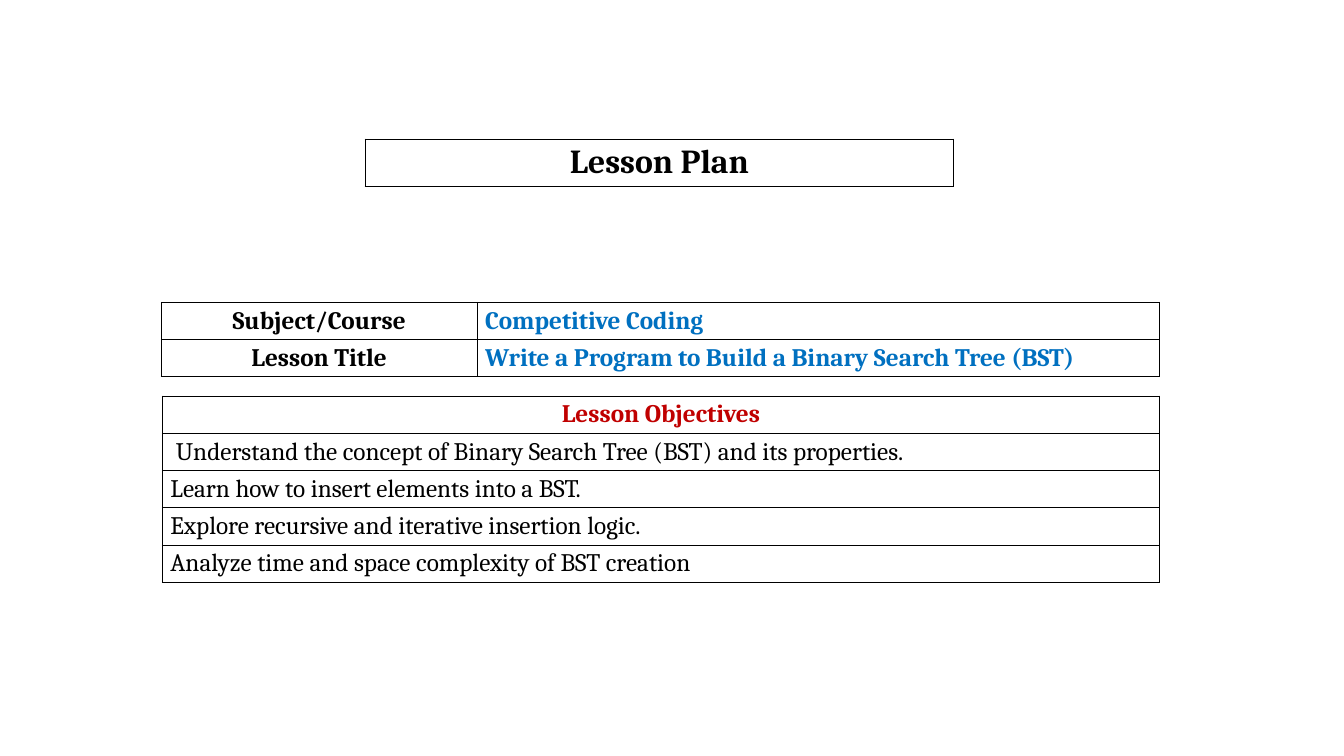
from lxml import etree
from pptx import Presentation
from pptx.dml.color import RGBColor
from pptx.enum.text import MSO_ANCHOR, PP_ALIGN
from pptx.oxml.ns import qn
from pptx.util import Inches, Pt

CENTER, LEFT = PP_ALIGN.CENTER, PP_ALIGN.LEFT
MIDDLE = MSO_ANCHOR.MIDDLE

BLACK = RGBColor(0x00, 0x00, 0x00)
WHITE = RGBColor(0xFF, 0xFF, 0xFF)
BLUE = RGBColor(0x00, 0x70, 0xC0)
RED = RGBColor(0xC0, 0x00, 0x00)

FONT = "Cambria"
BORDER_WIDTH = Pt(0.77)
SLIDE_WIDTH, SLIDE_HEIGHT = Inches(13.33), Inches(7.5)
TITLE_ROW, BODY_ROW = Inches(0.47), Inches(0.37)

COURSE = [
    ("Subject/Course", "Competitive Coding"),
    ("Lesson Title", "Write a Program to Build a Binary Search Tree (BST)"),
]
OBJECTIVES = [
    " Understand the concept of Binary Search Tree (BST) and its properties.",
    "Learn how to insert elements into a BST.",
    "Explore recursive and iterative insertion logic.",
    "Analyze time and space complexity of BST creation",
]


def add_borders(cell):
    """Draw a thin line on all four sides; lines precede the fill in tcPr."""
    properties = cell._tc.get_or_add_tcPr()
    for position, side in enumerate(("a:lnL", "a:lnR", "a:lnT", "a:lnB")):
        line = etree.Element(qn(side), w=str(BORDER_WIDTH))
        fill = etree.SubElement(line, qn("a:solidFill"))
        etree.SubElement(fill, qn("a:srgbClr"), val=str(BLACK))
        properties.insert(position, line)


def write_cell(cell, text, color=BLACK, bold=False, align=LEFT, size=18):
    cell.fill.solid()
    cell.fill.fore_color.rgb = WHITE
    add_borders(cell)
    cell.vertical_anchor = MIDDLE
    cell.margin_left = cell.margin_right = Inches(0.08)
    cell.margin_top = cell.margin_bottom = Inches(0.04)
    paragraph = cell.text_frame.paragraphs[0]
    paragraph.alignment = align
    run = paragraph.add_run()
    run.text = text
    run.font.name = FONT
    run.font.size = Pt(size)
    run.font.bold = bold
    run.font.color.rgb = color


def add_grid(slide, left, top, column_shares, row_count, row_height):
    """Add an unstyled table; left, top and columns are shares of the slide."""
    widths = [int(SLIDE_WIDTH * share) for share in column_shares]
    grid = slide.shapes.add_table(
        row_count, len(widths),
        int(SLIDE_WIDTH * left), int(SLIDE_HEIGHT * top),
        sum(widths), row_height * row_count,
    ).table
    grid.first_row = grid.horz_banding = False
    for column, width in zip(grid.columns, widths):
        column.width = width
    for row in grid.rows:
        row.height = row_height
    return grid


def main():
    presentation = Presentation()
    presentation.slide_width = SLIDE_WIDTH
    presentation.slide_height = SLIDE_HEIGHT
    slide = presentation.slides.add_slide(presentation.slide_layouts[6])

    # Heading in a one-cell table
    heading = add_grid(slide, 0.2716, 0.184, [0.438], 1, TITLE_ROW)
    write_cell(heading.cell(0, 0), "Lesson Plan",
               bold=True, align=CENTER, size=24)

    # Course details
    details = add_grid(slide, 0.12, 0.4, [0.235, 0.508], len(COURSE), BODY_ROW)
    for row, (label, value) in enumerate(COURSE):
        write_cell(details.cell(row, 0), label, bold=True, align=CENTER)
        write_cell(details.cell(row, 1), value, color=BLUE, bold=True)

    # Objectives under a red header
    objectives = add_grid(slide, 0.1208, 0.524, [0.742],
                          len(OBJECTIVES) + 1, BODY_ROW)
    write_cell(objectives.cell(0, 0), "Lesson Objectives",
               color=RED, bold=True, align=CENTER)
    for row, objective in enumerate(OBJECTIVES, start=1):
        write_cell(objectives.cell(row, 0), objective)

    presentation.save("out.pptx")


if __name__ == "__main__":
    main()
